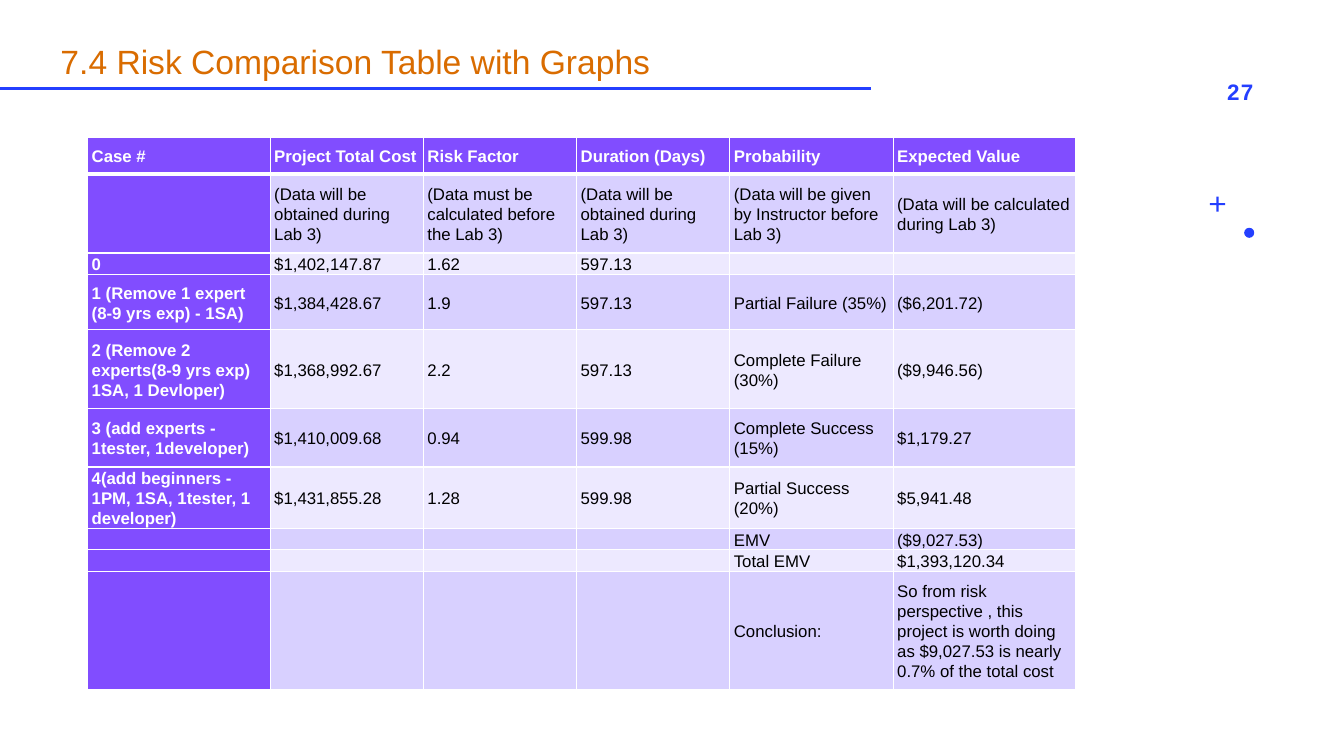
from dataclasses import dataclass

from lxml.etree import SubElement
from pptx import Presentation
from pptx.dml.color import RGBColor
from pptx.enum.shapes import MSO_CONNECTOR as Connector, MSO_SHAPE as Preset
from pptx.enum.text import MSO_ANCHOR as Anchor, MSO_AUTO_SIZE as AutoSize, PP_ALIGN as Align
from pptx.oxml.ns import qn
from pptx.slide import Slide
from pptx.table import _Cell as Cell
from pptx.text.text import _Paragraph as Paragraph
from pptx.util import Inches, Pt


@dataclass(frozen=True)
class Theme:
    font: str = "Arial"
    title: str = "D96C00"
    accent: str = "243FFF"
    header: str = "814DFF"
    dark_band: str = "D8D0FF"
    light_band: str = "EDE9FF"
    white: str = "FFFFFF"
    black: str = "000000"
    title_size: int = 24
    number_size: int = 16
    table_size: int = 12


@dataclass(frozen=True)
class Ornament:
    preset: Preset
    left: float
    top: float
    size: float
    inset: float | None = None


@dataclass(frozen=True)
class RiskRow:
    height: float
    texts: tuple[str, ...]


THEME = Theme()
ORNAMENTS = (
    Ornament(Preset.OVAL, 12.34, 2.26, 0.1),
    Ornament(Preset.CROSS, 12, 1.95, 0.15, 0.43),
)
COLUMN_WIDTHS = (1.81, 1.52, 1.52, 1.52, 1.62, 1.81)
RISK_ROWS = (
    RiskRow(0.37, ("Case #", "Project Total Cost", "Risk Factor", "Duration (Days)",
                   "Probability", "Expected Value")),
    RiskRow(0.78, ("", "(Data will be obtained during Lab 3)",
                   "(Data must be calculated before the Lab 3)",
                   "(Data will be obtained during Lab 3)",
                   "(Data will be given by Instructor before Lab 3)",
                   "(Data will be calculated during Lab 3)")),
    RiskRow(0.19, ("0", "$1,402,147.87", "1.62", "597.13", "", "")),
    RiskRow(0.55, ("1 (Remove 1 expert (8-9 yrs exp) - 1SA)", "$1,384,428.67", "1.9",
                   "597.13", "Partial Failure (35%)", "($6,201.72)")),
    RiskRow(0.78, ("2 (Remove 2 experts(8-9 yrs exp) 1SA, 1 Devloper)", "$1,368,992.67",
                   "2.2", "597.13", "Complete Failure (30%)", "($9,946.56)")),
    RiskRow(0.58, ("3 (add experts - 1tester, 1developer)", "$1,410,009.68", "0.94",
                   "599.98", "Complete Success (15%)", "$1,179.27")),
    RiskRow(0.58, ("4(add beginners - 1PM, 1SA, 1tester, 1 developer)", "$1,431,855.28",
                   "1.28", "599.98", "Partial Success (20%)", "$5,941.48")),
    RiskRow(0.19, ("", "", "", "", "EMV", "($9,027.53)")),
    RiskRow(0.19, ("", "", "", "", "Total EMV", "$1,393,120.34")),
    RiskRow(1.17, ("", "", "", "", "Conclusion:",
                   "So from risk perspective , this project is worth doing as "
                   "$9,027.53 is nearly 0.7% of the total cost")),
)


def color(value: str) -> RGBColor:
    return RGBColor.from_string(value)


def add_span(para: Paragraph, text: str, size: int, tint: str, bold: bool = False):
    span = para.add_run()
    span.text = text
    span.font.name = THEME.font
    span.font.size = Pt(size)
    span.font.bold = bold
    span.font.color.rgb = color(tint)
    return span


def add_title(page: Slide, text: str) -> None:
    title = page.shapes.title
    title.left, title.top = Inches(0.5), Inches(0.18)
    title.width, title.height = Inches(6.77), Inches(0.68)
    frame = title.text_frame
    frame.word_wrap = True
    frame.auto_size = AutoSize.NONE
    frame.vertical_anchor = Anchor.BOTTOM
    para = frame.paragraphs[0]
    para.alignment = Align.LEFT
    para.line_spacing = 0.9
    add_span(para, text, THEME.title_size, THEME.title)


def add_title_rule(page: Slide) -> None:
    rule = page.shapes.add_connector(
        Connector.STRAIGHT, Inches(0), Inches(0.88), Inches(8.64), Inches(0.88))
    rule.line.color.rgb = color(THEME.accent)
    rule.line.width = Pt(2)
    SubElement(rule._element.spPr, qn("a:effectLst"))


def add_ornament(page: Slide, ornament: Ornament) -> None:
    shape = page.shapes.add_shape(
        ornament.preset, Inches(ornament.left), Inches(ornament.top),
        Inches(ornament.size), Inches(ornament.size))
    if ornament.inset is not None:
        shape.adjustments[0] = ornament.inset
    shape.shadow.inherit = False
    shape.fill.solid()
    shape.fill.fore_color.rgb = color(THEME.accent)
    shape.line.fill.background()


def add_page_number(page: Slide, number: str) -> None:
    box = page.shapes.add_textbox(Inches(9.53), Inches(0.68), Inches(3), Inches(0.45))
    frame = box.text_frame
    frame.word_wrap = True
    frame.vertical_anchor = Anchor.MIDDLE
    para = frame.paragraphs[0]
    para.alignment = Align.RIGHT
    span = add_span(para, number, THEME.number_size, THEME.accent, True)
    span._r.get_or_add_rPr().set("spc", "100")


def add_borders(cell: Cell, row: int) -> None:
    widths = {"L": 1, "R": 1, "T": 3 if row == 1 else 1, "B": 3 if row == 0 else 1}
    properties = cell._tc.get_or_add_tcPr()
    for side, width in widths.items():
        border = SubElement(properties, qn(f"a:ln{side}"), w=str(Pt(width)))
        fill = SubElement(border, qn("a:solidFill"))
        SubElement(fill, qn("a:srgbClr"), val=THEME.white)


def fill_cell(cell: Cell, text: str, row: int, column: int) -> None:
    heading = row == 0 or column == 0
    band = THEME.dark_band if row % 2 else THEME.light_band
    add_borders(cell, row)
    cell.fill.solid()
    cell.fill.fore_color.rgb = color(THEME.header if heading else band)
    cell.vertical_anchor = Anchor.MIDDLE
    cell.margin_left = cell.margin_right = Inches(0.04)
    cell.margin_top, cell.margin_bottom = Inches(0.01), Inches(0)
    para = cell.text_frame.paragraphs[0]
    para.line_spacing = 1.07
    para.space_after = Pt(8)
    if text:
        tint = THEME.white if heading else THEME.black
        add_span(para, text, THEME.table_size, tint, heading)
    else:
        SubElement(para._p, qn("a:endParaRPr"), sz=str(THEME.table_size * 100))


def add_risk_table(page: Slide) -> None:
    height = sum(row.height for row in RISK_ROWS)
    table = page.shapes.add_table(
        len(RISK_ROWS), len(COLUMN_WIDTHS), Inches(0.87), Inches(1.36),
        Inches(sum(COLUMN_WIDTHS)), Inches(height)).table
    table.first_col = True
    for column, width in zip(table.columns, COLUMN_WIDTHS):
        column.width = Inches(width)
    for row_index, row in enumerate(RISK_ROWS):
        table.rows[row_index].height = Inches(row.height)
        for column_index, text in enumerate(row.texts):
            fill_cell(table.cell(row_index, column_index), text, row_index, column_index)


def main() -> None:
    deck = Presentation()
    deck.slide_width, deck.slide_height = Inches(13.33), Inches(7.5)
    page = deck.slides.add_slide(deck.slide_layouts[5])
    add_title_rule(page)
    for ornament in ORNAMENTS:
        add_ornament(page, ornament)
    add_title(page, "7.4 Risk Comparison Table with Graphs")
    add_risk_table(page)
    add_page_number(page, "27")
    deck.save("out.pptx")


if __name__ == "__main__":
    main()
